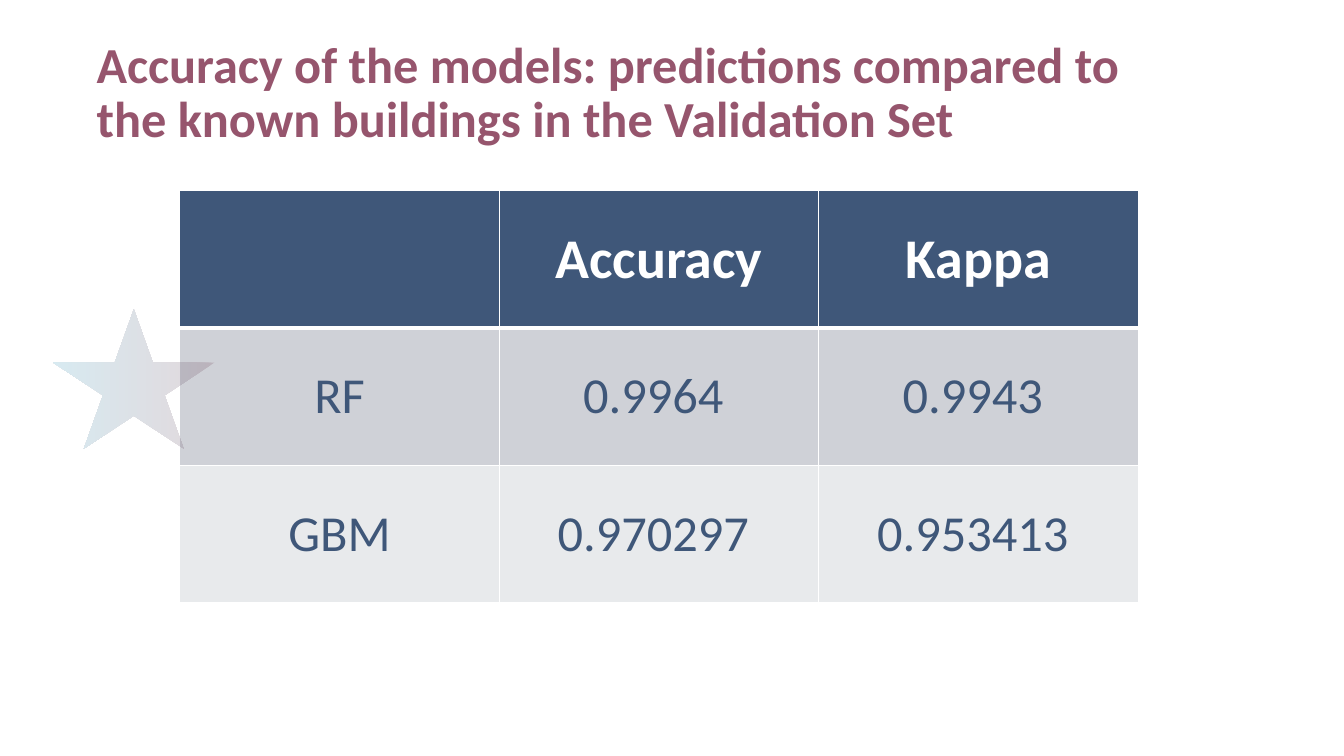
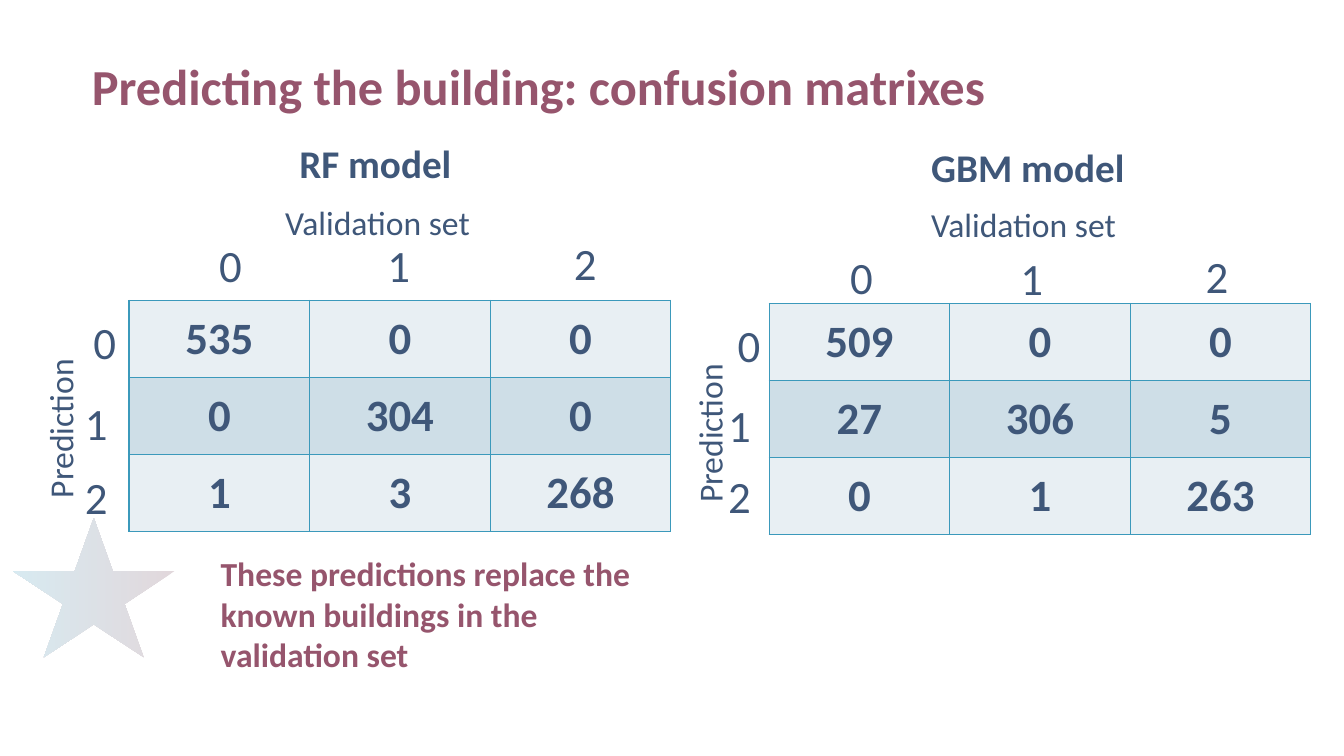
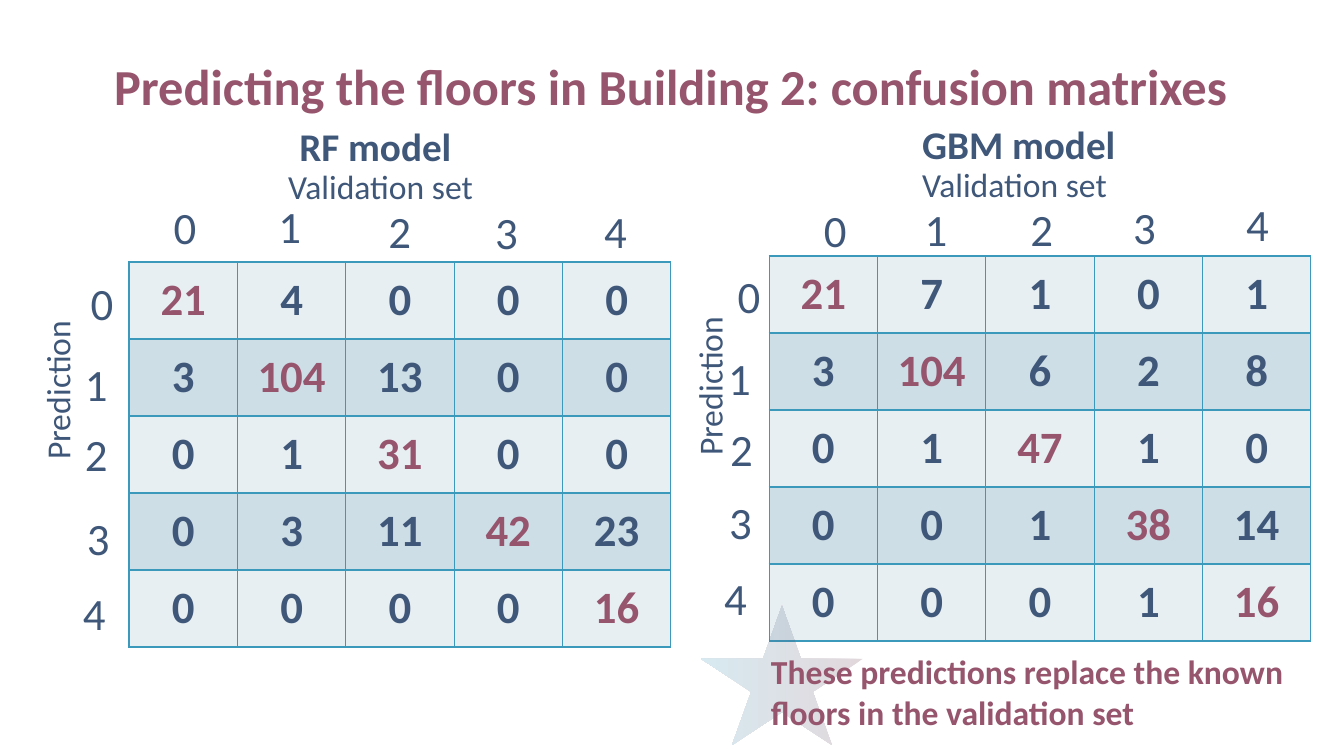
from pptx import Presentation
from pptx.dml.color import RGBColor
from pptx.enum import shapes, text
from pptx.oxml import parse_xml, ns
from pptx.util import Pt

FONT = "Calibri"
PLUM = RGBColor(0x96, 0x55, 0x6D)
WINE = RGBColor(0x6D, 0x3B, 0x4F)
NAVY = RGBColor(0x3F, 0x57, 0x79)
TEAL = RGBColor(0x3B, 0x99, 0xBB)
WHITE = RGBColor(0xFF, 0xFF, 0xFF)
GREYS = (RGBColor(0xE8, 0xEA, 0xEC), RGBColor(0xCF, 0xD1, 0xD7))
BLUES = (RGBColor(0xE8, 0xEF, 0xF3), RGBColor(0xCE, 0xDE, 0xE7))

LABEL_W, LABEL_H = 52, 46
AXIS_W, AXIS_H = 125, 36
MATRIX_W, MATRIX_ROW = 387, 55

ACCURACY = [
    ["", "Accuracy", "Kappa"],
    ["RF", "0.9964 ", "0.9943 "],
    ["GBM", "0.970297 ", "0.953413 "],
]

BUILDINGS = [
    dict(model="RF model", at=(92.2, 214.6), head=(114.5, -118.8),
         across=(104.4, -74.2), down=(-49.3, 85.7),
         cols=[(72.4, -25.2), (192.6, -25.2), (325.8, -26.6)],
         rows=[(-17.3, 29.5), (-23.4, 87.8), (-23.4, 140.4)],
         values=[[535, 0, 0], [0, 304, 0], [1, 3, 268]]),
    dict(model="GBM model", at=(549.4, 216.7), head=(108.7, -118.1),
         across=(108.7, -74.9), down=(-42.8, 87.1),
         cols=[(65.9, -18.7), (187.6, -18), (320, -19.4)],
         rows=[(-14.4, 29.5), (-21.2, 87.1), (-21.2, 137.5)],
         values=[[509, 0, 0], [27, 306, 5], [0, 1, 263]]),
]

FLOORS = [
    dict(model="RF model", at=(92.2, 187.2), head=(114.5, -103.7),
         across=(106.6, -72), down=(-51.5, 85.7), diagonal=PLUM,
         cols=[(40, -25.2), (114.8, -25.9), (193.3, -22.3),
               (269.6, -21.6), (347.4, -22.3)],
         rows=[(-19.4, 29.5), (-23.4, 87.1), (-23.4, 136.8),
               (-22, 197.3), (-24.8, 250.6)],
         values=[[21, 4, 0, 0, 0], [3, 104, 13, 0, 0], [0, 1, 31, 0, 0],
                 [0, 3, 11, 42, 23], [0, 0, 0, 0, 16]]),
    dict(model="GBM model", at=(549.4, 182.9), head=(102.2, -100.8),
         across=(102.2, -69.1), down=(-42.8, 87.1), diagonal=PLUM,
         cols=[(47.2, -18.7), (119.2, -19.4), (194.8, -19.4),
               (268.2, -20.9), (348.8, -23)],
         rows=[(-14.4, 28.8), (-21.2, 87.1), (-19.8, 137.5),
               (-20.5, 190.1), (-24.1, 244.1)],
         values=[[21, 7, 1, 0, 1], [3, 104, 6, 2, 8], [0, 1, 47, 1, 0],
                 [0, 0, 1, 38, 14], [0, 0, 0, 1, 16]]),
]


def style(p, size, color, bold=False, align=text.PP_ALIGN.LEFT):
    """Format one paragraph."""
    p.alignment = align
    p.font.name, p.font.size = FONT, Pt(size)
    p.font.bold, p.font.color.rgb = bold, color


def add_slide(prs, title, x, y, w):
    """Add a title-only slide with its title at the given place."""
    s = prs.slides.add_slide(prs.slide_layouts[5])
    sp = s.shapes.title
    sp.left, sp.top, sp.width, sp.height = Pt(x), Pt(y), Pt(w), Pt(82)
    tf = sp.text_frame
    tf.text = title
    tf.word_wrap, tf.auto_size = True, text.MSO_AUTO_SIZE.NONE
    tf.vertical_anchor = text.MSO_ANCHOR.BOTTOM
    tf.margin_left = Pt(3)
    tf.margin_right = tf.margin_top = tf.margin_bottom = 0
    p = tf.paragraphs[0]
    style(p, 36, PLUM, True)
    p.line_spacing = 0.9
    return s


def add_text(s, words, x, y, w, h, size, color=NAVY, bold=False,
             align=text.PP_ALIGN.LEFT):
    """Add a wrapped text box."""
    sp = s.shapes.add_textbox(Pt(x), Pt(y), Pt(w), Pt(h))
    tf = sp.text_frame
    tf.word_wrap = True
    tf.text = words
    style(tf.paragraphs[0], size, color, bold, align)
    return sp


def add_star(s, x, y):
    """Add the translucent star."""
    sp = s.shapes.add_shape(shapes.MSO_SHAPE.STAR_5_POINT,
                            Pt(x), Pt(y), Pt(115.2), Pt(99.4))
    sp.shadow.inherit = False
    sp.line.fill.background()
    sp.fill.gradient()
    sp.fill.gradient_angle = 180
    for stop, color in zip(sp.fill.gradient_stops, (WINE, TEAL)):
        stop.color.rgb = color
    for clr in sp.element.spPr.iter(ns.qn("a:srgbClr")):
        clr.append(parse_xml(f'<a:alpha {ns.nsdecls("a")} val="20000"/>'))


def set_borders(cell, color, **widths):
    """Draw the four cell borders, 1 pt unless a side is given."""
    tcPr = cell._tc.get_or_add_tcPr()
    for side in "LRTB":
        tcPr.append(parse_xml(
            f'<a:ln{side} {ns.nsdecls("a")} w="{Pt(widths.get(side, 1))}">'
            f'<a:solidFill><a:srgbClr val="{color}"/></a:solidFill>'
            f'</a:ln{side}>'))


def add_grid(s, values, x, y, w, row_h):
    """Add a plain table with equal columns and yield its cells."""
    n, m = len(values), len(values[0])
    table = s.shapes.add_table(n, m, Pt(x), Pt(y), Pt(w), Pt(n * row_h)).table
    table.first_row = table.horz_banding = False
    for i, row in enumerate(values):
        for j, value in enumerate(row):
            cell = table.cell(i, j)
            cell.text = str(value)
            cell.vertical_anchor = text.MSO_ANCHOR.MIDDLE
            yield i, j, cell


def add_scores(s, x, y, w, row_h):
    """Add the accuracy table with its dark header row."""
    for i, j, cell in add_grid(s, ACCURACY, x, y, w, row_h):
        header = i == 0
        set_borders(cell, WHITE, B=3 if header else 1, T=3 if i == 1 else 1)
        cell.fill.solid()
        cell.fill.fore_color.rgb = NAVY if header else GREYS[i % 2]
        style(cell.text_frame.paragraphs[0], 40 if header else 36,
              WHITE if header else NAVY, header, text.PP_ALIGN.CENTER)


def add_matrix(s, model, at, head, across, down, cols, rows, values,
               diagonal=NAVY):
    """Add a confusion matrix with labels placed relative to its corner."""
    x, y = at
    for i, j, cell in add_grid(s, values, x, y, MATRIX_W, MATRIX_ROW):
        set_borders(cell, TEAL)
        cell.fill.solid()
        cell.fill.fore_color.rgb = BLUES[i % 2]
        style(cell.text_frame.paragraphs[0], 32, diagonal if i == j else NAVY,
              True, text.PP_ALIGN.CENTER)
    add_text(s, model, x + head[0], y + head[1], 185, 41, 28, bold=True)
    add_text(s, "Validation set", x + across[0], y + across[1], 149, AXIS_H, 24)
    sp = add_text(s, "Prediction", x + down[0] - AXIS_W / 2,
                  y + down[1] - AXIS_H / 2, AXIS_W, AXIS_H, 24)
    sp.rotation = 270
    for labels in (cols, rows):
        for k, (dx, dy) in enumerate(labels):
            add_text(s, str(k), x + dx - LABEL_W / 2, y + dy - LABEL_H / 2,
                     LABEL_W, LABEL_H, 32, align=text.PP_ALIGN.CENTER)


def add_comparison(prs, title, title_box, matrices, star, note, note_box):
    """Add a slide that compares the matrices of both models."""
    s = add_slide(prs, title, *title_box)
    for matrix in matrices:
        add_matrix(s, **matrix)
    add_star(s, *star)
    add_text(s, note, *note_box, 24, PLUM, True)


def main():
    """Build and save the slides."""
    prs = Presentation()
    prs.slide_width, prs.slide_height = Pt(960), Pt(540)
    s = add_slide(prs, "Accuracy of the models: predictions compared to "
                  "the known buildings in the Validation Set", 66, 24, 747)
    add_scores(s, 128.5, 136.3, 684.6, 98.1)
    add_star(s, 38, 221)
    add_comparison(
        prs, "Predicting the building: confusion matrixes", (62.6, 1.4, 747),
        BUILDINGS, (9.4, 370),
        "These predictions replace the known buildings in the validation set",
        (150.5, 391.7, 322, 94))
    add_comparison(
        prs, "Predicting the floors in Building 2: confusion matrixes",
        (78.5, 1.4, 809), FLOORS, (501, 432.7),
        "These predictions replace the known floors in the validation set",
        (543.6, 461.5, 392.4, 65.5))
    prs.save("out.pptx")


if __name__ == "__main__":
    main()
